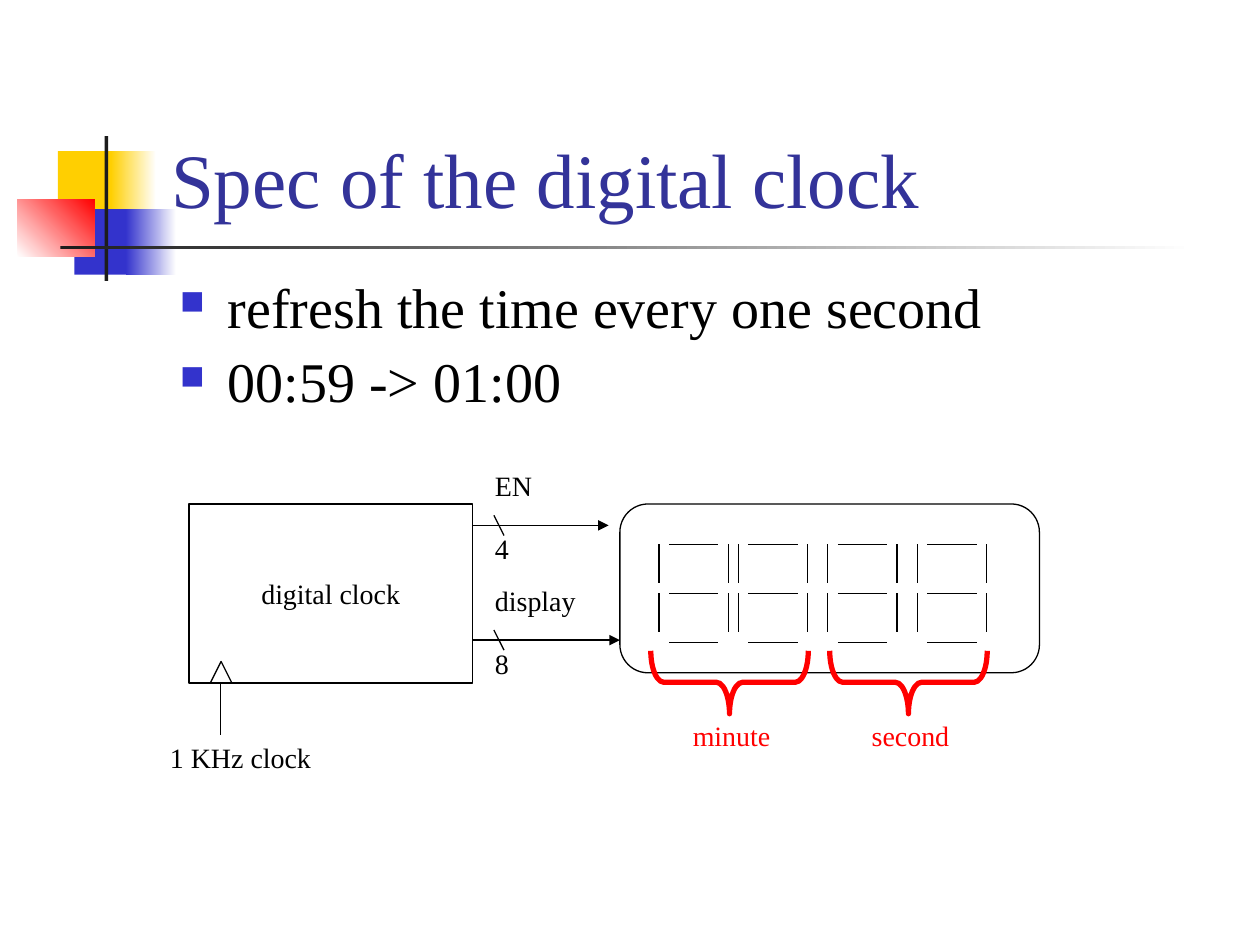
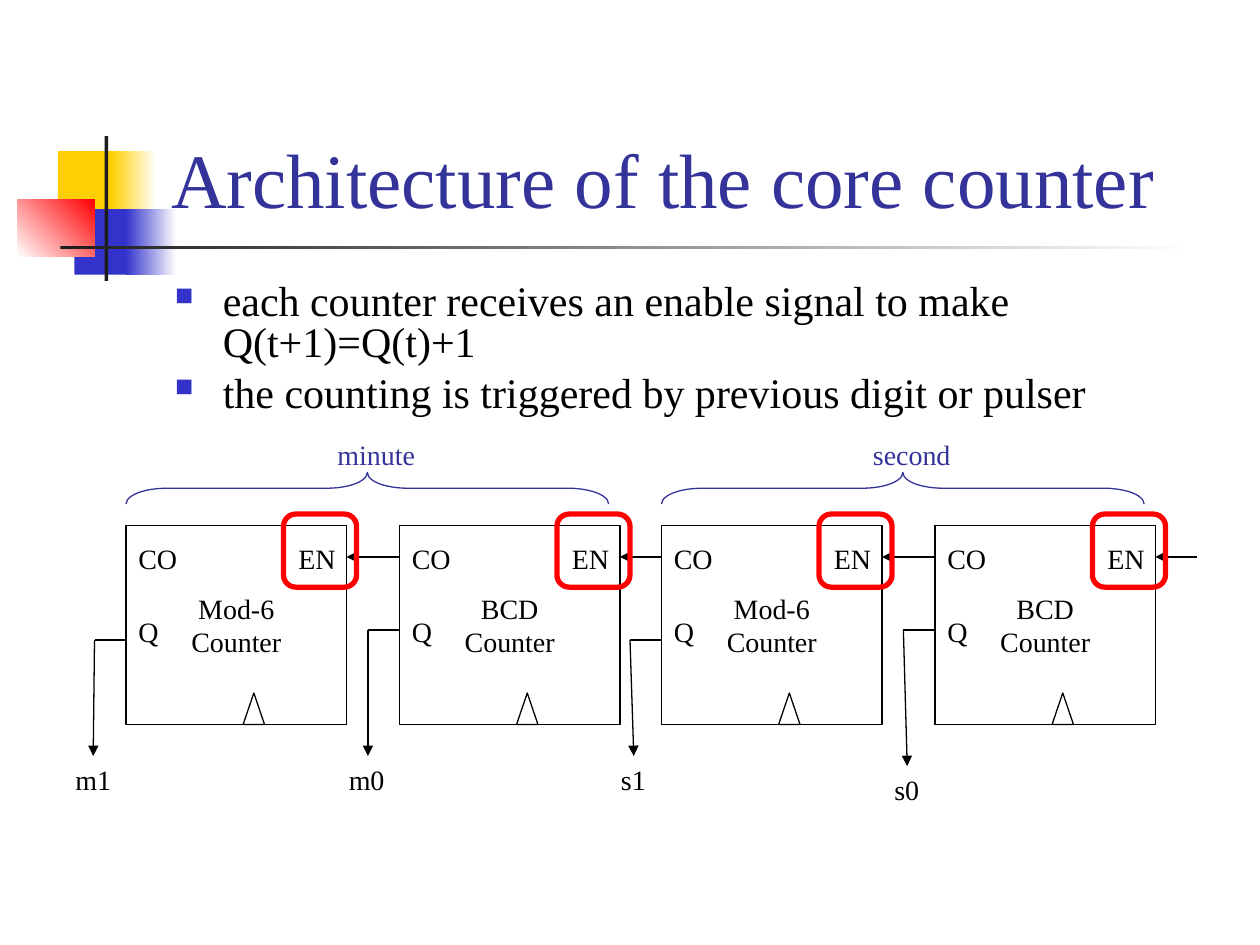
"""Build two slides on a digital clock: its specification and its core counter."""
from dataclasses import dataclass

from lxml import etree
from pptx import Presentation
from pptx.dml.color import RGBColor
from pptx.enum import shapes, text
from pptx.oxml import ns
from pptx.util import Inches, Pt


@dataclass(frozen=True)
class Theme:
    font: str = "Times New Roman"
    title: str = "333399"
    ink: str = "000000"
    blue: str = "3333CC"
    yellow: str = "FFCF01"
    red: str = "FF0000"
    dark: str = "1C1C1C"
    white: str = "FFFFFF"
    title_size: int = 44
    label_size: int = 16
    thin: float = 0.75
    thick: float = 3


T = Theme()
MSO = shapes.MSO_SHAPE

ORNAMENTS = [
    ((0.46, 1.2, 0.48, 0.52), (T.yellow,), 0),
    ((0.88, 1.2, 0.36, 0.52), (T.yellow, T.white), 0),
    ((0.59, 1.66, 0.46, 0.52), (T.blue,), 0),
    ((1, 1.66, 0.4, 0.52), (T.blue, T.white), 0),
    ((0.14, 1.58, 0.61, 0.46), (T.white, T.red), 45),
    ((0.83, 1.08, 0.03, 1.15), (T.dark,), 0),
    ((0.48, 1.95, 9, 0.03), (T.dark, T.white), 0),
]

SPEC = {
    "title": "Spec of the digital clock",
    "bullets": ["refresh the time every one second", "00:59 -> 01:00"],
    "body": (1.33, 2.17, 8.5, 1.25), "size": 32, "spacing": 0.9,
}
BUSES = [("EN", "4", 4.17, 4.83), ("display", "8", 5.08, 4.92)]
DIGIT_LEFTS = [5.23, 5.86, 6.57, 7.28]
DISPLAY_GROUPS = [("minute", 5.54), ("second", 6.96)]

COUNTER = {
    "title": "Architecture of the core counter",
    "bullets": ["each counter receives an enable signal to make Q(t+1)=Q(t)+1",
                "the counting is triggered by previous digit or pulser"],
    "body": (1.29, 2.21, 8.5, 1.21), "size": 24, "spacing": 0.8,
}
# name, left, output, label left, Q height, arrow end
STAGES = [
    ("Mod-6\nCounter", 1, "m1", 0.5, 5.08, (0.74, 6)),
    ("BCD\nCounter", 3.17, "m0", 2.67, 5, (2.92, 6)),
    ("Mod-6\nCounter", 5.25, "s1", 4.83, 5.08, (5.03, 6)),
    ("BCD\nCounter", 7.42, "s0", 7, 5, (7.2, 6.08)),
]
STAGE_WIDTH, STAGE_TOP, STAGE_HEIGHT = 1.75, 4.17, 1.58
PULSE_START = 9.5
COUNTER_GROUPS = [("minute", 2.79), ("second", 7.04)]


def rgb(value):
    return RGBColor.from_string(value)


def style_text(tf, size, color):
    for p in tf.paragraphs:
        for r in p.runs:
            r.font.name = T.font
            r.font.size = Pt(size)
            r.font.color.rgb = rgb(color)


def add_outline(s, kind, box, color=T.ink, width=T.thin, adj=(), rotation=0):
    sp = s.shapes.add_shape(kind, *map(Inches, box))
    sp.shadow.inherit = False
    sp.fill.background()
    sp.line.color.rgb = rgb(color)
    sp.line.width = Pt(width)
    sp.rotation = rotation
    for i, value in enumerate(adj):
        sp.adjustments[i] = value
    return sp


def add_block(s, name, box):
    sp = add_outline(s, MSO.RECTANGLE, box)
    tf = sp.text_frame
    tf.text = name
    tf.word_wrap = False
    tf.vertical_anchor = text.MSO_ANCHOR.MIDDLE
    for p in tf.paragraphs:
        p.alignment = text.PP_ALIGN.CENTER
    style_text(tf, T.label_size, T.ink)


def add_label(s, label, left, top, width, color=T.ink):
    sp = s.shapes.add_textbox(*map(Inches, (left, top, width, 0.37)))
    tf = sp.text_frame
    tf.text = label
    tf.word_wrap = False
    tf.auto_size = text.MSO_AUTO_SIZE.SHAPE_TO_FIT_TEXT
    style_text(tf, T.label_size, color)


def add_line(s, x1, y1, x2, y2, arrow=False):
    c = s.shapes.add_connector(shapes.MSO_CONNECTOR.STRAIGHT,
                               *map(Inches, (x1, y1, x2, y2)))
    c.line.color.rgb = rgb(T.ink)
    c.line.width = Pt(T.thin)
    if arrow:
        etree.SubElement(c.line._get_or_add_ln(), ns.qn("a:tailEnd"), type="triangle")
    etree.SubElement(c._element.spPr, ns.qn("a:effectLst"))


def add_ornament(s, box, colors, angle):
    sp = s.shapes.add_shape(MSO.RECTANGLE, *map(Inches, box))
    sp.shadow.inherit = False
    sp.line.fill.background()
    if len(colors) == 1:
        sp.fill.solid()
        sp.fill.fore_color.rgb = rgb(colors[0])
        return
    sp.fill.gradient()
    sp.fill.gradient_angle = angle
    for stop, color in zip(sp.fill.gradient_stops, colors):
        stop.color.rgb = rgb(color)


def add_bullet(p):
    pPr = p._p.get_or_add_pPr()
    pPr.set("marL", str(Inches(0.38)))
    pPr.set("indent", str(-Inches(0.38)))
    color = etree.SubElement(pPr, ns.qn("a:buClr"))
    etree.SubElement(color, ns.qn("a:srgbClr"), val=T.blue)
    etree.SubElement(pPr, ns.qn("a:buSzPct"), val="60000")
    etree.SubElement(pPr, ns.qn("a:buChar"), char="■")


def add_slide(prs, content):
    s = prs.slides.add_slide(prs.slide_layouts[6])
    for ornament in ORNAMENTS:
        add_ornament(s, *ornament)

    tf = s.shapes.add_textbox(*map(Inches, (1.26, 0.23, 8.52, 1.6))).text_frame
    tf.text = content["title"]
    tf.word_wrap = True
    tf.vertical_anchor = text.MSO_ANCHOR.BOTTOM
    style_text(tf, T.title_size, T.title)

    tf = s.shapes.add_textbox(*map(Inches, content["body"])).text_frame
    tf.text = "\n".join(content["bullets"])
    tf.word_wrap = True
    for p in tf.paragraphs:
        p.line_spacing = content["spacing"]
        p.space_before = Pt(content["size"] / 4)
        add_bullet(p)
    style_text(tf, content["size"], T.ink)
    return s


def add_digit(s, left, top=4.32, pitch=0.39):
    for row in range(3):
        y = top + row * pitch
        add_line(s, left + 0.08, y, left + 0.47, y)
        if row < 2:
            for x in (left, left + 0.55):
                add_line(s, x, y, x, y + 0.31)


def build_spec(prs):
    s = add_slide(prs, SPEC)
    add_block(s, "digital clock", (1.5, 4, 2.25, 1.42))
    add_outline(s, MSO.ISOSCELES_TRIANGLE, (1.67, 5.25, 0.17, 0.17))
    add_line(s, 1.75, 5.42, 1.75, 5.83)
    add_label(s, "1 KHz clock", 1.25, 5.83, 1.32)

    for name, bits, y, end in BUSES:
        add_line(s, 3.75, y, end, y, arrow=True)
        add_line(s, 3.92, y - 0.08, 4, y + 0.08)
        add_label(s, bits, 3.83, y, 0.31)
        add_label(s, name, 3.83, y - 0.5, 0.85 if len(name) > 2 else 0.5)

    for left in DIGIT_LEFTS:
        add_digit(s, left)
    add_outline(s, MSO.ROUNDED_RECTANGLE, (4.92, 4, 3.33, 1.34), adj=(0.167,))
    for name, left in DISPLAY_GROUPS:
        add_outline(s, MSO.LEFT_BRACE, (left, 4.79, 0.5, 1.25), T.red, T.thick,
                    (0.208, 0.5), 270)
        add_label(s, name, left - 0.14, 5.65, 0.82, T.red)


def build_counter(prs):
    s = add_slide(prs, COUNTER)
    sources = [stage[1] for stage in STAGES[1:]] + [PULSE_START]
    for (name, left, output, label_left, q_y, end), source in zip(STAGES, sources):
        right = left + STAGE_WIDTH
        add_block(s, name, (left, STAGE_TOP, STAGE_WIDTH, STAGE_HEIGHT))
        add_outline(s, MSO.ISOSCELES_TRIANGLE, (left + 0.93, 5.5, 0.17, 0.25))
        add_label(s, "CO", left, 4.25, 0.51)
        add_label(s, "EN", left + 1.27, 4.25, 0.5)
        add_label(s, "Q", left, 4.83, 0.36)
        add_label(s, output, label_left, end[1], 0.49 if output[0] == "m" else 0.4)
        add_line(s, left, q_y, left - 0.25, q_y)
        add_line(s, left - 0.25, q_y, *end, arrow=True)
        add_line(s, source, 4.42, right, 4.42, arrow=True)

    for name, left in COUNTER_GROUPS:
        add_outline(s, MSO.LEFT_BRACE, (left, 1.96, 0.25, 3.83), T.title,
                    adj=(1.278, 0.5), rotation=90)
        add_label(s, name, left - 0.21, 3.42, 0.82, T.title)
    for stage in STAGES:
        add_outline(s, MSO.ROUNDED_RECTANGLE, (stage[1] + 1.25, 4.08, 0.58, 0.58),
                    T.red, T.thick, (0.167,))


def main():
    prs = Presentation()
    prs.slide_width, prs.slide_height = Inches(10), Inches(7.5)
    build_spec(prs)
    build_counter(prs)
    prs.save("out.pptx")


if __name__ == "__main__":
    main()
